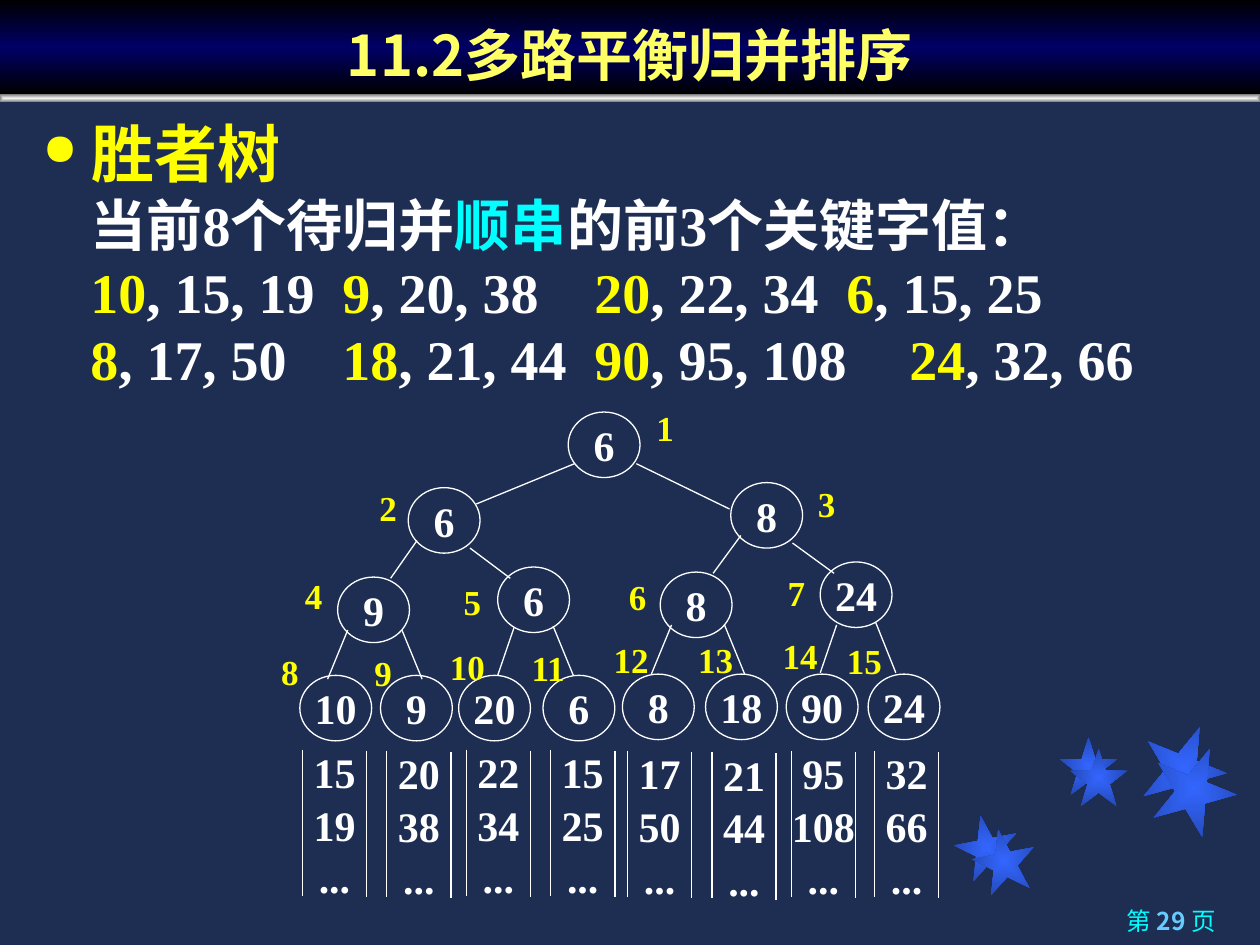
from dataclasses import dataclass

from lxml import etree
from pptx import Presentation
from pptx.dml.color import RGBColor
from pptx.enum.shapes import MSO_CONNECTOR, MSO_SHAPE
from pptx.enum.text import MSO_ANCHOR, PP_ALIGN
from pptx.oxml.ns import qn
from pptx.util import Inches, Pt

STRAIGHT = MSO_CONNECTOR.STRAIGHT
OVAL, RECTANGLE, STAR = MSO_SHAPE.OVAL, MSO_SHAPE.RECTANGLE, MSO_SHAPE.STAR_5_POINT
LEFT, CENTER, RIGHT = PP_ALIGN.LEFT, PP_ALIGN.CENTER, PP_ALIGN.RIGHT
TOP, MIDDLE, BOTTOM = MSO_ANCHOR.TOP, MSO_ANCHOR.MIDDLE, MSO_ANCHOR.BOTTOM


@dataclass(frozen=True)
class Theme:
    background: str = "1E2E53"
    white: str = "FFFFFF"
    yellow: str = "FFFF00"
    title: str = "FFFF66"
    cyan: str = "00FFFF"
    page_number: str = "66CCFF"
    banner: tuple = ("000000", "000066", "000000")
    rule: tuple = ("F2F2F2", "808080")
    star: tuple = ("3366FF", "2449B6")
    sans: str = "Noto Sans CJK SC"
    serif: str = "Times New Roman"
    heading_font: str = "Arial"
    heading_size: int = 36
    body_size: int = 32
    node_size: int = 24
    index_size: int = 20
    footer_size: int = 14
    line_width: float = 0.75


theme = Theme()


def fill_gradient(shape, colors, centered):
    shape.fill.gradient()
    gradient = shape.fill._xPr.find(qn("a:gradFill"))
    for child in list(gradient):
        gradient.remove(child)
    stops = etree.SubElement(gradient, qn("a:gsLst"))
    for number, color in enumerate(colors):
        position = str(100000 * number // (len(colors) - 1))
        stop = etree.SubElement(stops, qn("a:gs"), pos=position)
        etree.SubElement(stop, qn("a:srgbClr"), val=color)
    if centered:
        route = etree.SubElement(gradient, qn("a:path"), path="shape")
        sides = dict.fromkeys("ltrb", "50000")
        etree.SubElement(route, qn("a:fillToRect"), **sides)
    else:
        etree.SubElement(gradient, qn("a:lin"), ang="5400000", scaled="0")


def add_runs(para, runs, font, size, align=LEFT, bold=True):
    para.alignment = align
    for text, color in runs:
        span = para.add_run()
        span.text = text
        span.font.name = font
        span.font.size = Pt(size)
        span.font.bold = bold
        span.font.color.rgb = RGBColor.from_string(color)
        etree.SubElement(span.font._element, qn("a:ea"), typeface=theme.sans)


deck = Presentation()
deck.slide_width, deck.slide_height = Inches(10), Inches(7.5)
page = deck.slides.add_slide(deck.slide_layouts[5])
page.background.fill.solid()
page.background.fill.fore_color.rgb = RGBColor.from_string(theme.background)

title = page.shapes.title
title.left, title.top, title.width, title.height = 0, 0, Inches(10), Inches(0.75)
title.text_frame.vertical_anchor = BOTTOM
fill_gradient(title, theme.banner, False)
add_runs(title.text_frame.paragraphs[0], [("11.2多路平衡归并排序", theme.title)],
         theme.sans, theme.body_size, CENTER)

decorations = [
    (RECTANGLE, 0, 0.75, 10, 0.06, 0, theme.rule),
    (STAR, 7.58, 6.47, 0.5, 0.5, 349, theme.star),
    (STAR, 8.41, 5.85, 0.46, 0.46, 0, theme.star),
    (STAR, 9.06, 5.75, 0.67, 0.67, 22, theme.star),
    (STAR, 7.72, 6.58, 0.5, 0.5, 349, theme.star),
    (STAR, 8.49, 5.94, 0.46, 0.46, 0, theme.star),
    (STAR, 9.14, 5.92, 0.67, 0.67, 22, theme.star),
]
for kind, left, top, width, height, angle, colors in decorations:
    shape = page.shapes.add_shape(kind, Inches(left), Inches(top), Inches(width), Inches(height))
    shape.shadow.inherit = False
    shape.line.fill.background()
    shape.rotation = angle
    fill_gradient(shape, colors, True)

box = page.shapes.add_textbox(Inches(7.12), Inches(7.14), Inches(2.63), Inches(0.36))
para = box.text_frame.paragraphs[0]
add_runs(para, [("第 ", theme.cyan), ("29 ", theme.page_number), ("页", theme.cyan)],
         theme.sans, theme.footer_size, RIGHT, False)
para.runs[1].font.bold = True

box = page.shapes.add_textbox(Inches(0.24), Inches(0.86), Inches(9.46), Inches(2.44))
frame = box.text_frame
frame.word_wrap = True
para = frame.paragraphs[0]
properties = para._p.get_or_add_pPr()
properties.set("marL", str(Inches(0.39)))
properties.set("indent", str(Inches(-0.39)))
bullet_color = etree.SubElement(properties, qn("a:buClr"))
etree.SubElement(bullet_color, qn("a:srgbClr"), val=theme.yellow)
etree.SubElement(properties, qn("a:buSzPct"), val="70000")
etree.SubElement(properties, qn("a:buChar"), char="●")
add_runs(para, [("胜者树", theme.yellow)], theme.heading_font, theme.heading_size)

intro = [("当前8个待归并", theme.white), ("顺串", theme.cyan), ("的前3个关键字值：", theme.white)]
key_rows = [
    ((2.49, 4.71, 7.15), [("10", ", 15, 19"), ("9", ", 20, 38"), ("20", ", 22, 34"), ("6", ", 15, 25")]),
    ((2.83, 5.16, 7.48), [("8", ", 17, 50"), ("18", ", 21, 44"), ("90", ", 95, 108"), ("24", ", 32, 66")]),
]
body_rows = [((), intro)]
for stops, series in key_rows:
    runs = []
    for number, (first, rest) in enumerate(series):
        gap = "\t" if number < len(series) - 1 else ""
        runs += [(first, theme.yellow), (rest + gap, theme.white)]
    body_rows.append((stops, runs))
for stops, runs in body_rows:
    para = frame.add_paragraph()
    properties = para._p.get_or_add_pPr()
    properties.set("marL", str(Inches(0.38)))
    properties.set("indent", "0")
    if stops:
        tabs = etree.SubElement(properties, qn("a:tabLst"))
        for stop in stops:
            etree.SubElement(tabs, qn("a:tab"), pos=str(Inches(stop)), algn="l")
    add_runs(para, runs, theme.serif, theme.body_size)

nodes = [
    ("6", 4.51, 3.27, 5.11, 3.18), ("6", 3.24, 3.87, 2.91, 3.81), ("8", 5.8, 3.83, 6.39, 3.78),
    ("9", 2.68, 4.58, 2.32, 4.51), ("6", 3.95, 4.5, 3.58, 4.56), ("8", 5.24, 4.54, 4.89, 4.52),
    ("24", 6.51, 4.46, 6.15, 4.49), ("10", 2.38, 5.36, 2.13, 5.11), ("9", 3.02, 5.36, 2.87, 5.12),
    ("20", 3.64, 5.36, 3.47, 5.07), ("6", 4.31, 5.36, 4.11, 5.08), ("8", 4.94, 5.35, 4.77, 5.02),
    ("18", 5.6, 5.35, 5.44, 5.02), ("90", 6.24, 5.35, 6.11, 4.99), ("24", 6.89, 5.35, 6.62, 5.03),
]
for index, (key, left, top, index_left, index_top) in enumerate(nodes, 1):
    node = page.shapes.add_shape(OVAL, Inches(left), Inches(top), Inches(0.57), Inches(0.52))
    node.shadow.inherit = False
    node.fill.background()
    node.line.color.rgb = RGBColor.from_string(theme.white)
    node.line.width = Pt(theme.line_width)
    node.text_frame.word_wrap = False
    node.text_frame.vertical_anchor = MIDDLE
    add_runs(node.text_frame.paragraphs[0], [(key, theme.white)], theme.serif, theme.node_size, CENTER)
    width = 0.34 if index < 10 else 0.48
    label = page.shapes.add_textbox(Inches(index_left), Inches(index_top), Inches(width), Inches(0.44))
    label.text_frame.word_wrap = False
    add_runs(label.text_frame.paragraphs[0], [(str(index), theme.yellow)],
             theme.serif, theme.index_size, CENTER)

lines = [
    (4.56, 3.68, 3.78, 4), (5.05, 3.68, 5.79, 4.04),
    (3.31, 4.29, 3.1, 4.59), (3.73, 4.35, 4.05, 4.59),
    (5.88, 4.25, 5.66, 4.55), (6.29, 4.31, 6.62, 4.55),
    (2.76, 5, 2.6, 5.39), (3.19, 5, 3.35, 5.39),
    (4.08, 4.98, 3.95, 5.36), (4.39, 4.97, 4.55, 5.36),
    (5.33, 4.96, 5.17, 5.35), (5.75, 4.96, 5.91, 5.35),
    (6.64, 4.96, 6.51, 5.34), (6.95, 4.94, 7.11, 5.34),
]
queues = [
    (2.4, 5.91, "15", "19"), (3.07, 5.92, "20", "38"), (3.7, 5.91, "22", "34"), (4.37, 5.91, "15", "25"),
    (4.98, 5.92, "17", "50"), (5.65, 5.93, "21", "44"), (6.28, 5.92, "95", "108"), (6.94, 5.92, "32", "66"),
]
for left, top, *keys in queues:
    box = page.shapes.add_textbox(Inches(left), Inches(top), Inches(0.51), Inches(1.26))
    frame = box.text_frame
    frame.word_wrap = True
    frame.margin_left = frame.margin_right = frame.margin_top = frame.margin_bottom = 0
    for number, key in enumerate([*keys, "..."]):
        para = frame.add_paragraph() if number else frame.paragraphs[0]
        para.line_spacing = Pt(30)
        add_runs(para, [(key, theme.white)], theme.serif, theme.node_size, CENTER)
    for across, down in ((0, 0.04), (0.51, 0.05)):
        lines.append((left + across, top + down, left + across, top + down + 1.16))

for start_x, start_y, end_x, end_y in lines:
    line = page.shapes.add_connector(STRAIGHT, Inches(start_x), Inches(start_y), Inches(end_x), Inches(end_y))
    line.line.color.rgb = RGBColor.from_string(theme.white)
    line.line.width = Pt(theme.line_width)
    etree.SubElement(line._element.spPr, qn("a:effectLst"))

deck.save("out.pptx")
